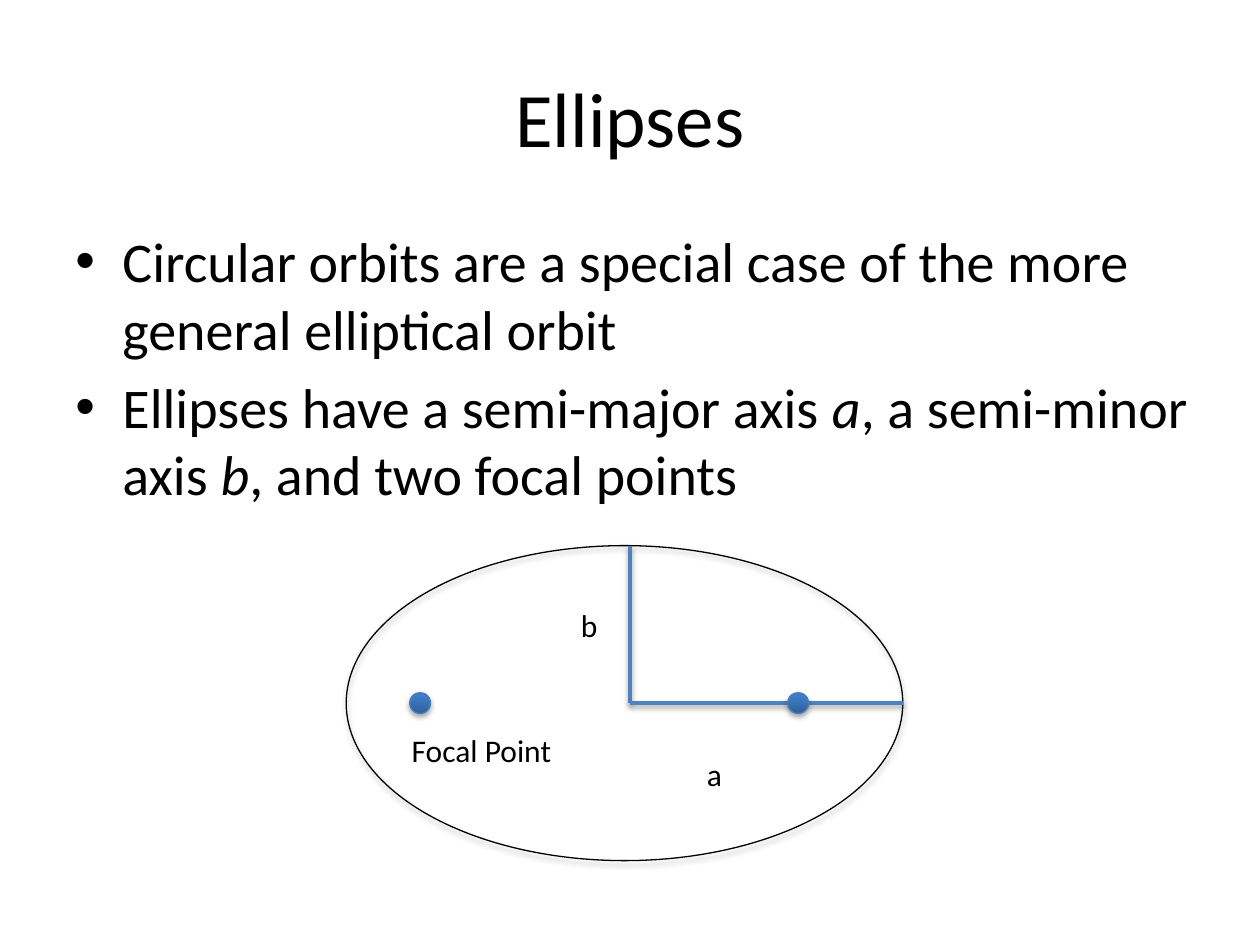
from lxml import etree
from pptx import Presentation
from pptx.dml.color import RGBColor
from pptx.enum.shapes import MSO_CONNECTOR, MSO_SHAPE
from pptx.enum.text import MSO_ANCHOR, MSO_AUTO_SIZE, PP_ALIGN
from pptx.oxml.ns import qn
from pptx.util import Cm, Pt

OVAL = MSO_SHAPE.OVAL
STRAIGHT = MSO_CONNECTOR.STRAIGHT
MIDDLE = MSO_ANCHOR.MIDDLE
FIT_SHAPE = MSO_AUTO_SIZE.SHAPE_TO_FIT_TEXT
CENTER = PP_ALIGN.CENTER

FONT = "Calibri"
BLACK, AXIS, DOT_LINE = "000000", "4F81BD", "4B7EBC"
DOT_STOPS = [(0, "2F5F99"), (80, "3D7CC7"), (100, "3A7CCB")]

# Runs are (text, italic)
TITLE = [("Ellipses", False)]
BULLETS = [
    [("Circular orbits are a special case of the more general elliptical orbit", False)],
    [("Ellipses have a semi-major axis ", False), ("a", True),
     (", a semi-minor axis ", False), ("b", True),
     (", and two focal points", False)],
]
LABELS = [  # text, left, top, width in cm
    ("a", 14, 15.09, 0.81),
    ("b", 11.46, 12.09, 0.84),
    ("Focal Point", 8.05, 14.61, 3.4),
]

# Orbit geometry in cm
LEFT, TOP, WIDTH, HEIGHT = 6.98, 11, 11.22, 6.35
AXIS_X, AXIS_Y = 12.7, TOP + HEIGHT / 2
AXIS_ENDS = [((AXIS_X, TOP), (AXIS_X, AXIS_Y)),
             ((AXIS_X, AXIS_Y), (LEFT + WIDTH, AXIS_Y))]
DOT = 0.42
FOCI_X = [8.47, 16.09]


def rgb(value):
    return RGBColor.from_string(value)


def add(parent, tag, **attrs):
    return etree.SubElement(parent, qn(tag), {k: str(v) for k, v in attrs.items()})


def add_color(parent, value):
    return add(parent, "a:srgbClr", val=value)


def add_shadow(spPr, opacity, distance):
    """Downward soft shadow; replaces an empty effect list if there is one."""
    for old in spPr.findall(qn("a:effectLst")):
        spPr.remove(old)
    shadow = add(add(spPr, "a:effectLst"), "a:outerShdw", blurRad=Pt(3.1),
                 dist=Pt(distance), dir=90 * 60000, rotWithShape=0)
    add(add_color(shadow, BLACK), "a:alpha", val=opacity * 1000)


def add_gradient(spPr, stops, angle):
    grad = add(spPr, "a:gradFill", rotWithShape=1)
    stop_list = add(grad, "a:gsLst")
    for position, value in stops:
        add_color(add(stop_list, "a:gs", pos=position * 1000), value)
    add(grad, "a:lin", ang=angle * 60000, scaled=0)


def add_text(s, box, paragraphs, size, wrap=True):
    tf = s.shapes.add_textbox(*(Cm(v) for v in box)).text_frame
    tf.word_wrap = wrap
    for i, runs in enumerate(paragraphs):
        p = tf.add_paragraph() if i else tf.paragraphs[0]
        for text, italic in runs:
            r = p.add_run()
            r.text = text
            r.font.name = FONT
            r.font.size = Pt(size)
            r.font.italic = italic
            r.font.color.rgb = rgb(BLACK)
    return tf


def add_bullet(p):
    pPr = p._p.get_or_add_pPr()
    pPr.set("marL", str(Cm(0.95)))
    pPr.set("indent", str(-Cm(0.95)))
    add(add(pPr, "a:spcBef"), "a:spcPct", val=20000)
    add(pPr, "a:buFont", typeface="Arial")
    add(pPr, "a:buChar", char="•")


def add_oval(s, box, line, stops=None):
    sp = s.shapes.add_shape(OVAL, *(Cm(v) for v in box))
    spPr = sp._element.spPr
    if stops:
        add_gradient(spPr, stops, 270)
    else:
        sp.fill.background()
    sp.line.color.rgb = rgb(line)
    sp.line.width = Pt(0.75)
    add_shadow(spPr, 35, 1.8)


def add_axis(s, start, end):
    line = s.shapes.add_connector(STRAIGHT, *(Cm(v) for v in start + end))
    line.line.color.rgb = rgb(AXIS)
    line.line.width = Pt(2)
    add_shadow(line._element.spPr, 38, 1.6)


def main():
    prs = Presentation()
    prs.slide_width, prs.slide_height = Cm(25.4), Cm(19.05)
    s = prs.slides.add_slide(prs.slide_layouts[6])

    tf = add_text(s, (1.27, 0.76, 22.86, 3.18), [TITLE], 44)
    tf.vertical_anchor = MIDDLE
    tf.paragraphs[0].alignment = CENTER

    tf = add_text(s, (1.27, 4.45, 23.29, 6.15), BULLETS, 32)
    for p in tf.paragraphs:
        add_bullet(p)

    add_oval(s, (LEFT, TOP, WIDTH, HEIGHT), BLACK)
    for start, end in AXIS_ENDS:
        add_axis(s, start, end)
    for x in FOCI_X:
        add_oval(s, (x - DOT / 2, AXIS_Y - DOT / 2, DOT, DOT), DOT_LINE, DOT_STOPS)

    for text, left, top, width in LABELS:
        tf = add_text(s, (left, top, width, 1.02), [[(text, False)]], 18, wrap=False)
        tf.auto_size = FIT_SHAPE

    prs.save("out.pptx")


if __name__ == "__main__":
    main()
